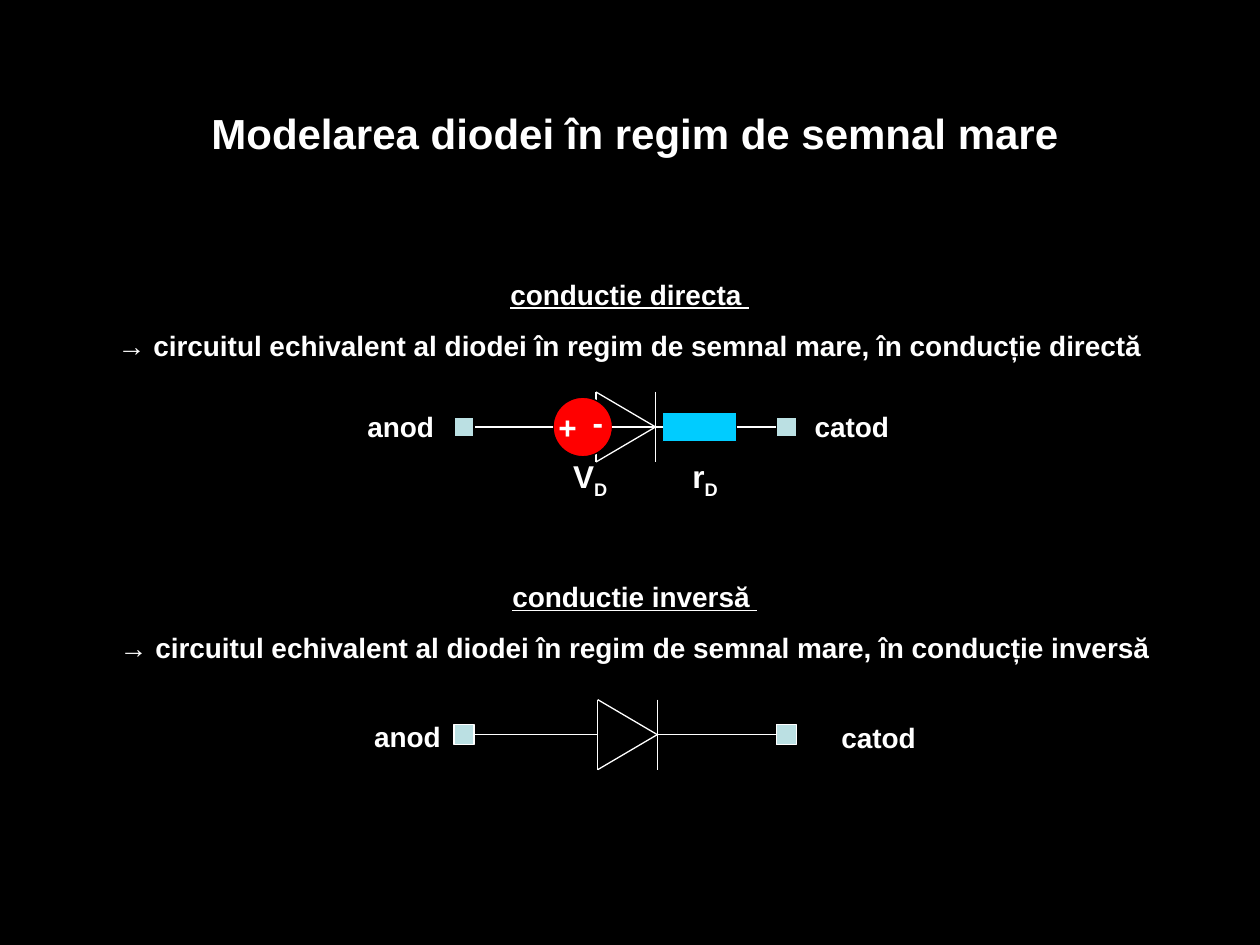
from dataclasses import dataclass

from pptx import Presentation
from pptx import util as u
from pptx.dml.color import RGBColor
from pptx.enum import shapes, text
from pptx.oxml.xmlchemy import OxmlElement


@dataclass(frozen=True)
class Theme:
    """Colours, font and sizes of the slide."""
    background: RGBColor = RGBColor.from_string("000000")
    ink: RGBColor = RGBColor.from_string("FFFFFF")
    pad: RGBColor = RGBColor.from_string("BBE0E3")
    resistor: RGBColor = RGBColor.from_string("00CCFF")
    source: RGBColor = RGBColor.from_string("FF0000")
    font: str = "Arial"
    title: int = 24
    body: int = 16
    symbol: int = 18
    stroke: float = 0.75


THEME = Theme()


def add_line(page, start, end):
    """Draw a thin straight line between two points."""
    line = page.shapes.add_connector(
        shapes.MSO_CONNECTOR.STRAIGHT, *(u.Pt(value) for value in (*start, *end)))
    line.line.color.rgb = THEME.ink
    line.line.width = u.Pt(THEME.stroke)
    line._element.spPr.append(OxmlElement("a:effectLst"))


def add_part(page, kind, frame, fill, outline=THEME.background):
    """Draw a filled circuit part."""
    part = page.shapes.add_shape(kind, *map(u.Pt, frame))
    part.shadow.inherit = False
    part.fill.solid()
    part.fill.fore_color.rgb = fill
    part.line.color.rgb = outline
    part.line.width = u.Pt(THEME.stroke)


def style(para, size):
    """Centre a paragraph and set its font."""
    para.alignment = text.PP_ALIGN.CENTER
    para.font.name = THEME.font
    para.font.size = u.Pt(size)
    para.font.bold = True
    para.font.color.rgb = THEME.ink


def add_text(page, frame, lines, size=THEME.body):
    """Add a text box with one centred paragraph per line and return its paragraphs."""
    box = page.shapes.add_textbox(*map(u.Pt, frame)).text_frame
    box.word_wrap = True
    box.auto_size = text.MSO_AUTO_SIZE.SHAPE_TO_FIT_TEXT
    box.text = "\n".join(lines)
    for para in box.paragraphs:
        style(para, size)
    return box.paragraphs


def add_heading(page, left, top, heading, statement):
    """Add an underlined heading with its statement below."""
    first, second = add_text(page, (left, top, 695.5, 55.4), (heading, statement))
    first.font.underline = True
    second.space_before = u.Pt(10)


def add_symbol(page, left, letter):
    """Add a quantity symbol with the subscript D."""
    para = add_text(page, (left, 257.8, 42.5, 31.7), [letter], THEME.symbol)[0]
    span = para.add_run()
    span.text = "D"
    span.font._element.set("baseline", "-25000")


def add_diode(page, left, axis):
    """Draw a diode symbol with a wire on each side."""
    tip, top, bottom = left + 34, axis - 20, axis + 20
    for start, end in (
        ((left, top), (tip, axis)),
        ((left, top), (left, bottom)),
        ((left, bottom), (tip, axis)),
        ((tip, top), (tip, bottom)),
        ((tip, axis), (left + 108, axis)),
        ((left - 73.5, axis), (left, axis)),
    ):
        add_line(page, start, end)


def add_pads(page, axis, outline):
    """Draw the two terminals of a circuit."""
    for left in (259.4, 443.6):
        add_part(page, shapes.MSO_SHAPE.RECTANGLE,
                 (left, axis - 5.75, 11.5, 11.5), THEME.pad, outline)


def add_forward_model(page, axis):
    """Draw the voltage source and resistor in series."""
    add_part(page, shapes.MSO_SHAPE.RECTANGLE, (378.6, axis - 8.5, 42.3, 17), THEME.resistor)
    add_part(page, shapes.MSO_SHAPE.OVAL, (316, axis - 17, 34, 34), THEME.source)
    for start, end in ((265, 316), (350, 378.6), (420.9, 449)):
        add_line(page, (start, axis), (end, axis))
    for sign, left, top in (("+", 310.3, 229.5), ("-", 327.6, 227)):
        add_text(page, (left, top, 28.1, 28.8), [sign], THEME.symbol)
    add_symbol(page, 316, "V")
    add_symbol(page, 381.6, "r")


def main():
    """Build the slide and save the deck."""
    deck = Presentation()
    deck.slide_width, deck.slide_height = u.Pt(720), u.Pt(540)
    page = deck.slides.add_slide(deck.slide_layouts[6])
    page.background.fill.solid()
    page.background.fill.fore_color.rgb = THEME.background

    forward_axis, reverse_axis = 244, 419.8
    add_diode(page, 340.6, forward_axis)
    add_forward_model(page, forward_axis)
    add_pads(page, forward_axis, THEME.background)
    add_diode(page, 341.6, reverse_axis)
    add_pads(page, reverse_axis, THEME.ink)

    for name, left, top in (("anod", 190.8, 230.6), ("catod", 448.6, 230.6),
                            ("anod", 194.7, 407.9), ("catod", 463.9, 408.4)):
        add_text(page, (left, top, 76.3, 26.6), [name])

    add_text(page, (20.9, 57.8, 684, 36), ["Modelarea diodei în regim de semnal mare"], THEME.title)
    statement = "→ circuitul echivalent al diodei în regim de semnal mare, în conducție "
    add_heading(page, 12.2, 154.8, "conductie directa ", statement + "directă")
    add_heading(page, 15.1, 327.6, "conductie inversă ", statement + "inversă")
    deck.save("out.pptx")


if __name__ == "__main__":
    main()
